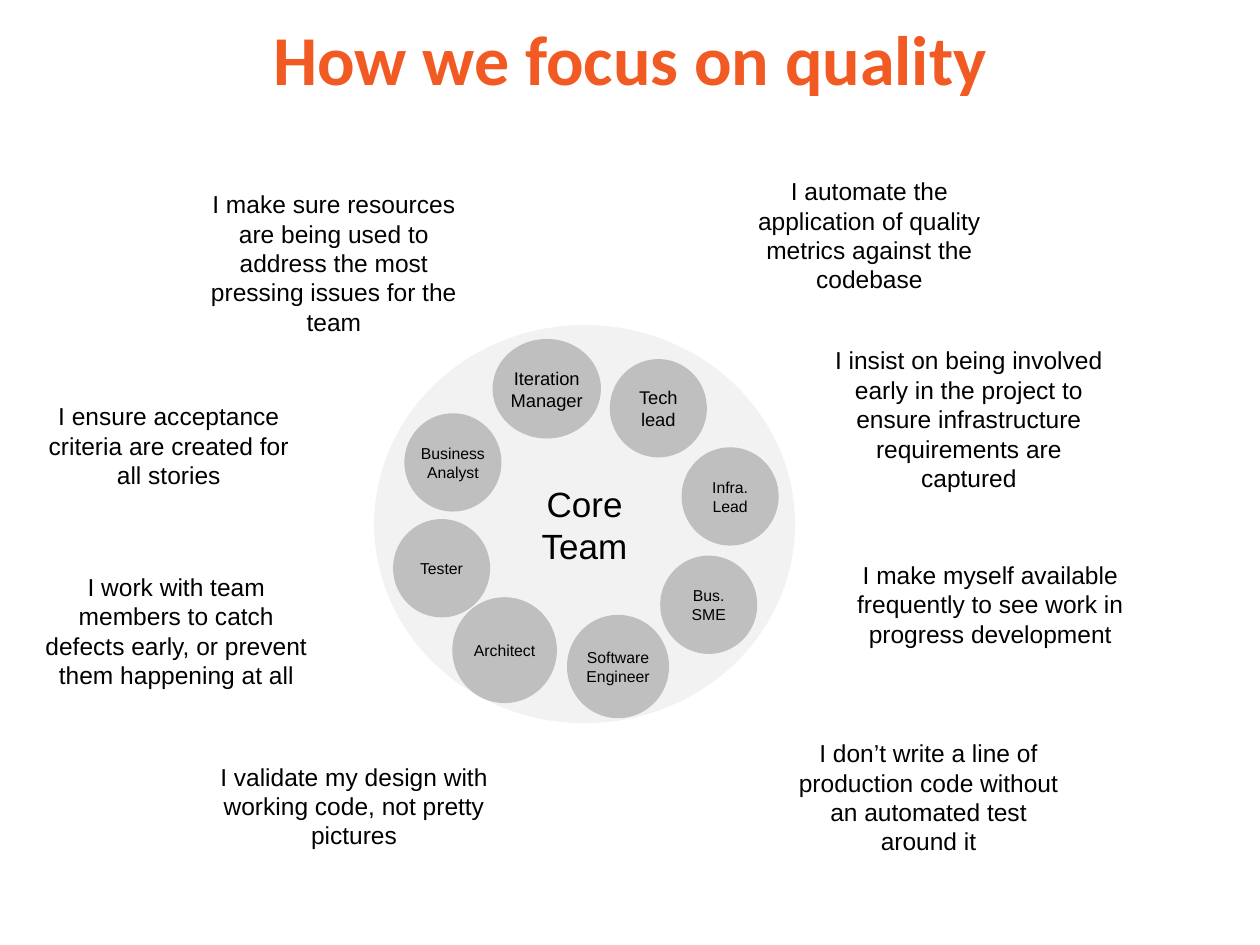
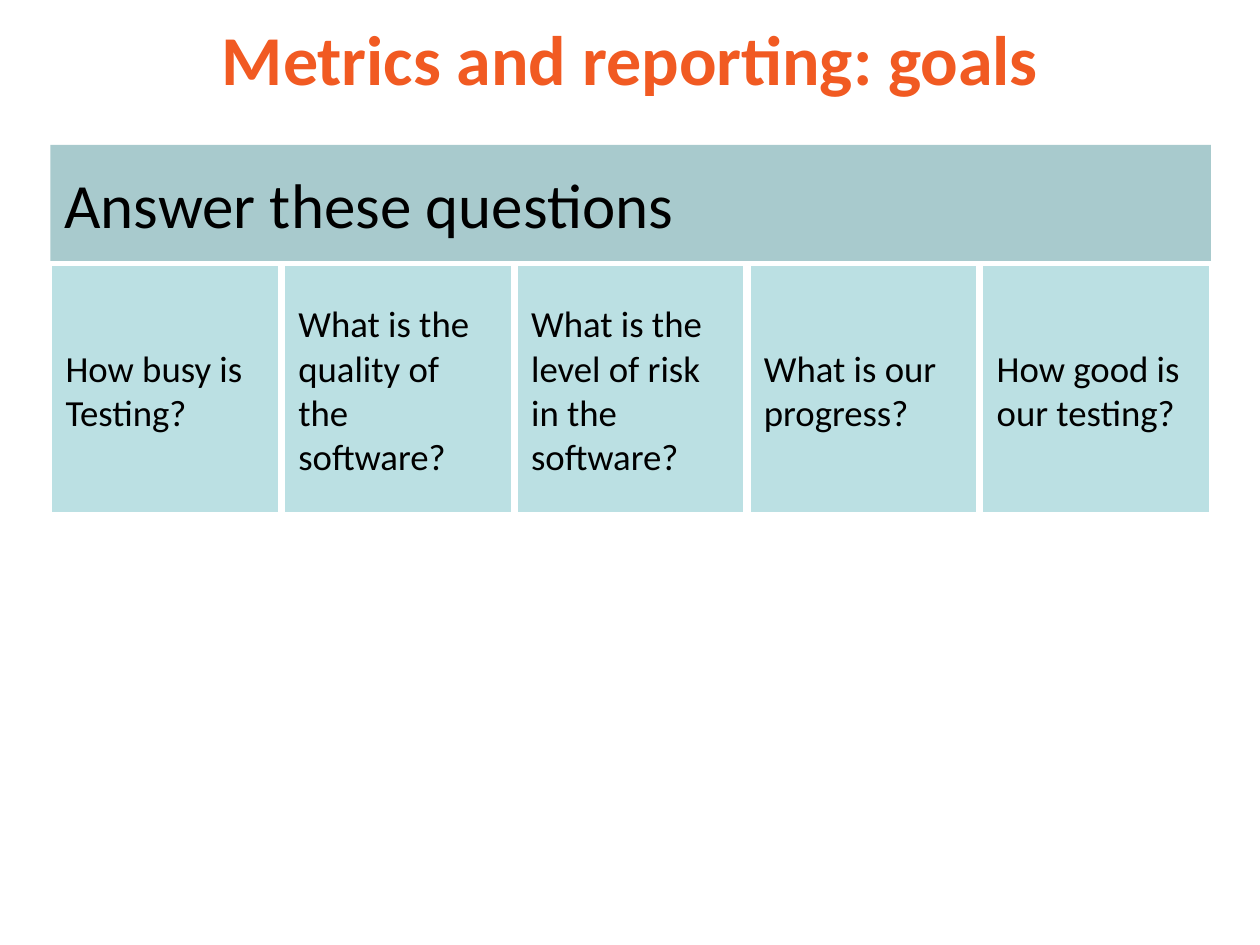
from dataclasses import dataclass

from pptx import Presentation
from pptx.dml.color import RGBColor
from pptx.enum.shapes import MSO_SHAPE
from pptx.enum.text import MSO_ANCHOR, MSO_AUTO_SIZE, PP_ALIGN
from pptx.presentation import Presentation as Deck
from pptx.shapes.autoshape import Shape
from pptx.shapes.shapetree import GroupShapes, SlideShapes
from pptx.slide import Slide
from pptx.text.text import TextFrame
from pptx.util import Inches, Pt

CALLOUT = MSO_SHAPE.RECTANGULAR_CALLOUT
ELLIPSE = MSO_SHAPE.OVAL
RECTANGLE = MSO_SHAPE.RECTANGLE
MIDDLE = MSO_ANCHOR.MIDDLE
NO_AUTOFIT = MSO_AUTO_SIZE.NONE
CENTER = PP_ALIGN.CENTER
LEFT = PP_ALIGN.LEFT

TITLE_ONLY_LAYOUT = 5
BLACK = "000000"
WHITE = "FFFFFF"
ORANGE = "F15A22"
TEAM_GREY = "F2F2F2"
ROLE_GREY = "BFBFBF"
HEADER_TEAL = "A8CACD"
QUESTION_TEAL = "BBE0E3"

Box = tuple[float, float, float, float]


@dataclass(frozen=True)
class TextStyle:
    size: float
    font: str = "Arial"
    color: str = BLACK
    bold: bool = False
    align: PP_ALIGN = CENTER
    margins: Box = (0.1, 0.05, 0.1, 0.05)
    space_before: float = 0


@dataclass(frozen=True)
class Practice:
    left: float
    top: float
    tail: tuple[float, float]
    text: str


@dataclass(frozen=True)
class Role:
    box: Box
    name: str
    size: float = 9


TITLE_STYLE = TextStyle(40, "Calibri", ORANGE, True, margins=(0.03,) * 4)
PRACTICE_STYLE = TextStyle(14, space_before=0.2)
TEAM_STYLE = TextStyle(20)
HEADER_STYLE = TextStyle(36, "Calibri", align=LEFT, margins=(0.11, 0, 0, 0), space_before=0.2)
QUESTION_STYLE = TextStyle(21, "Calibri", align=LEFT, margins=(0.12,) * 4, space_before=0.2)

TITLE_BOX = (0.4, 0, 9.2, 0.92)
PRACTICE_SIZE = (2.34, 1.25)
TEAM_BOX = (2.97, 2.58, 3.34, 3.16)
HEADER_BOX = (0.4, 1.15, 9.21, 0.92)
QUESTION_TOP = 2.1
QUESTION_SIZE = (1.82, 1.98)

PRACTICES = [
    Practice(5.73, 1.24, (-0.48, 0.78),
             "I automate the application of quality metrics against the codebase"),
    Practice(6.52, 2.7, (-0.62, 0.45),
             "I insist on being involved early in the project to ensure "
             "infrastructure requirements are captured"),
    Practice(6.69, 4.17, (-0.75, 0.07),
             "I make myself available frequently to see work in progress development"),
    Practice(6.2, 5.7, (-0.95, -0.47),
             "I don’t write a line of production code without an automated test around it"),
    Practice(1.64, 5.77, (0.38, -0.74),
             "I validate my design with working code, not pretty pictures"),
    Practice(0.23, 4.38, (0.76, -0.33),
             "I work with team members to catch defects early, or prevent them "
             "happening at all"),
    Practice(0.17, 2.91, (0.65, 0.04),
             "I ensure acceptance criteria are created for all stories"),
    Practice(1.48, 1.46, (0.68, 0.39),
             "I make sure resources are being used to address the most pressing "
             "issues for the team"),
]

ROLES = [
    Role((3.91, 2.69, 0.86, 0.79), "Iteration Manager", 10.5),
    Role((4.84, 2.85, 0.77, 0.78), "Tech\nlead", 10.5),
    Role((5.41, 3.55, 0.77, 0.78), "Infra. Lead"),
    Role((5.24, 4.41, 0.77, 0.78), "Bus. SME"),
    Role((4.5, 4.88, 0.81, 0.82), "Software\nEngineer"),
    Role((3.59, 4.74, 0.83, 0.84), "Architect"),
    Role((3.12, 4.12, 0.77, 0.78), "Tester"),
    Role((3.21, 3.28, 0.77, 0.78), "Business Analyst"),
]

QUESTIONS = [
    "How busy is Testing?",
    "What is the quality of the software?",
    "What is the level of risk in the software?",
    "What is our progress?",
    "How good is our testing?",
]


def rgb(color: str) -> RGBColor:
    return RGBColor.from_string(color)


def write_text(frame: TextFrame, text: str, style: TextStyle) -> None:
    """Fill a frame with one paragraph for each line of the text."""
    frame.text = text
    left, top, right, bottom = (Inches(margin) for margin in style.margins)
    frame_format = {
        "margin_left": left,
        "margin_top": top,
        "margin_right": right,
        "margin_bottom": bottom,
        "word_wrap": True,
        "auto_size": NO_AUTOFIT,
        "vertical_anchor": MIDDLE,
    }
    for name, value in frame_format.items():
        setattr(frame, name, value)
    font_format = {"name": style.font, "size": Pt(style.size), "bold": style.bold}
    for paragraph in frame.paragraphs:
        paragraph.alignment = style.align
        paragraph.space_before = Pt(style.space_before * style.size)
        for run in paragraph.runs:
            for name, value in font_format.items():
                setattr(run.font, name, value)
            run.font.color.rgb = rgb(style.color)


def add_text_shape(
    shapes: SlideShapes | GroupShapes,
    kind: MSO_SHAPE,
    box: Box,
    fill: str,
    text: str,
    style: TextStyle,
    outlined: bool = False,
) -> Shape:
    shape = shapes.add_shape(kind, *(Inches(length) for length in box))
    shape.shadow.inherit = False
    shape.fill.solid()
    shape.fill.fore_color.rgb = rgb(fill)
    if outlined:
        shape.line.color.rgb = rgb(WHITE)
        shape.line.width = Pt(2)
    else:
        shape.line.fill.background()
    write_text(shape.text_frame, text, style)
    return shape


def add_titled_slide(presentation: Deck, text: str) -> Slide:
    slide = presentation.slides.add_slide(presentation.slide_layouts[TITLE_ONLY_LAYOUT])
    title = slide.shapes.title
    for name, length in zip(("left", "top", "width", "height"), TITLE_BOX):
        setattr(title, name, Inches(length))
    write_text(title.text_frame, text, TITLE_STYLE)
    return slide


def build_quality_slide(presentation: Deck) -> None:
    slide = add_titled_slide(presentation, "How we focus on quality")
    for practice in PRACTICES:
        box = (practice.left, practice.top, *PRACTICE_SIZE)
        callout = add_text_shape(
            slide.shapes, CALLOUT, box, WHITE, practice.text, PRACTICE_STYLE, outlined=True
        )
        for index, offset in enumerate(practice.tail):
            callout.adjustments[index] = offset

    team = slide.shapes.add_group_shape().shapes
    add_text_shape(team, ELLIPSE, TEAM_BOX, TEAM_GREY, "Core\nTeam", TEAM_STYLE)
    for role in ROLES:
        style = TextStyle(role.size, margins=(0, 0.05, 0, 0.05))
        add_text_shape(team, ELLIPSE, role.box, ROLE_GREY, role.name, style)


def build_goals_slide(presentation: Deck) -> None:
    slide = add_titled_slide(presentation, "Metrics and reporting: goals")
    board = slide.shapes.add_group_shape().shapes
    add_text_shape(
        board, RECTANGLE, HEADER_BOX, HEADER_TEAL, "Answer these questions", HEADER_STYLE
    )
    left, _, width, _ = HEADER_BOX
    step = (width - QUESTION_SIZE[0]) / (len(QUESTIONS) - 1)
    for index, question in enumerate(QUESTIONS):
        box = (left + index * step, QUESTION_TOP, *QUESTION_SIZE)
        add_text_shape(
            board, RECTANGLE, box, QUESTION_TEAL, question, QUESTION_STYLE, outlined=True
        )


def main() -> None:
    presentation = Presentation()
    presentation.slide_width = Inches(10)
    presentation.slide_height = Inches(7.5)
    build_quality_slide(presentation)
    build_goals_slide(presentation)
    presentation.save("out.pptx")


if __name__ == "__main__":
    main()
